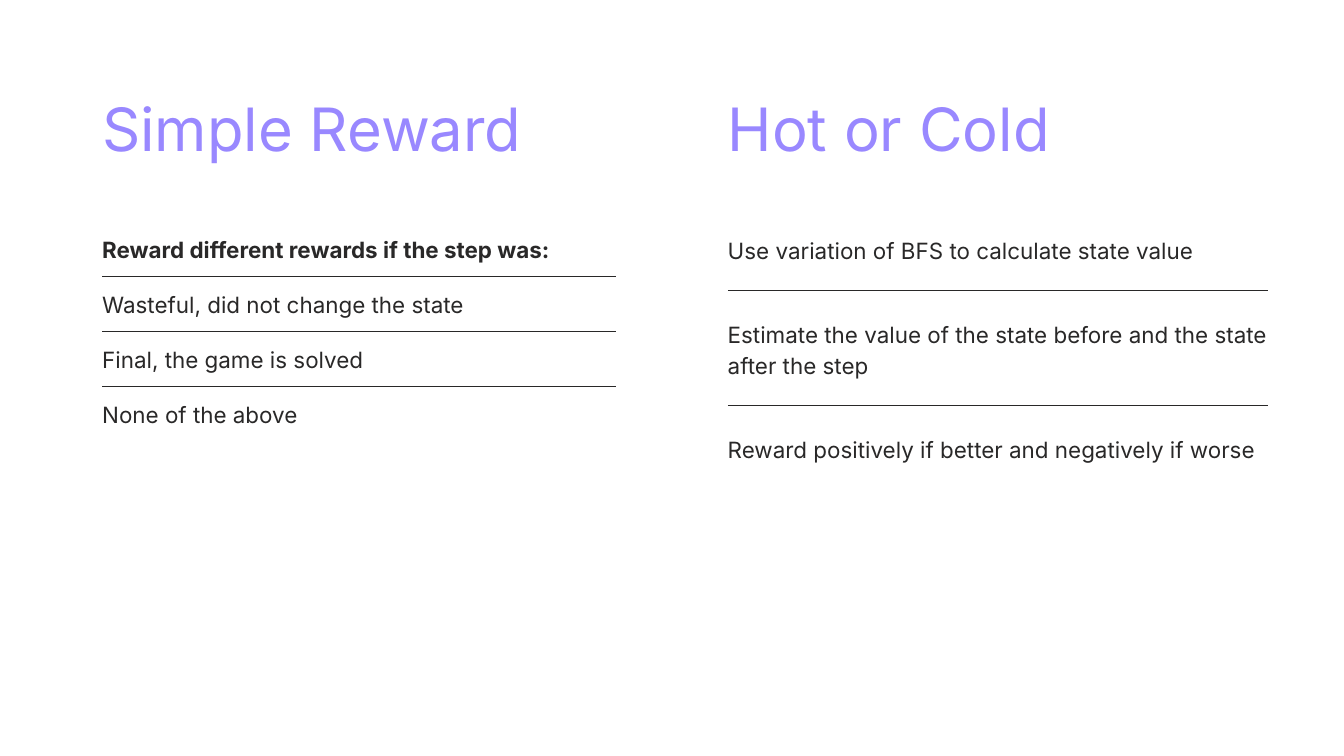
import pptx
import pptx.util
import pptx.dml.color
import pptx.enum.shapes
import pptx.enum.text
import pptx.oxml.ns
import lxml.etree

Inches, Pt = pptx.util.Inches, pptx.util.Pt

COLORS = {"heading": "9988FF", "text": "292828", "page": "FFFFFF"}
FONT = "Inter"
HEADING_TOP, HEADING_HEIGHT = 1.36, 1.07

# Each item: text, box height, bold
COLUMNS = [
    {
        "heading": "Simple Reward",
        "left": 1.52, "width": 7.65, "top": 3.45,
        "gap_above_rule": 0.22, "gap_below_rule": 0.16, "rule_weight": 0.75,
        "items": [
            ("Reward different rewards if the step was:", 0.44, True),
            ("Wasteful, did not change the state", 0.44, False),
            ("Final, the game is solved", 0.44, False),
            ("None of the above", 0.44, False),
        ],
    },
    {
        "heading": "Hot or Cold",
        "left": 10.83, "width": 8.04, "top": 3.46,
        "gap_above_rule": 0.43, "gap_below_rule": 0.39, "rule_weight": 1,
        "items": [
            ("Use variation of BFS to calculate state value", 0.43, False),
            ("Estimate the value of the state before and the state after the step", 0.89, False),
            ("Reward positively if better and negatively if worse", 0.43, False),
        ],
    },
]


def rgb(name):
    return pptx.dml.color.RGBColor.from_string(COLORS[name])


def fill_text(box, text, size, spacing, color, bold=False):
    frame = box.text_frame
    frame.word_wrap = True
    frame.auto_size = pptx.enum.text.MSO_AUTO_SIZE.NONE
    frame.vertical_anchor = pptx.enum.text.MSO_ANCHOR.TOP
    frame.margin_left = frame.margin_right = frame.margin_top = frame.margin_bottom = 0
    para = frame.paragraphs[0]
    para.alignment = pptx.enum.text.PP_ALIGN.LEFT
    para.line_spacing = Pt(spacing)
    para.space_before = Pt(0)
    span = para.add_run()
    span.text = text
    span.font.name = FONT
    span.font.size = Pt(size)
    span.font.bold = bold
    span.font.color.rgb = rgb(color)


def add_rule(page, left, top, width, weight):
    rule = page.shapes.add_connector(
        pptx.enum.shapes.MSO_CONNECTOR.STRAIGHT,
        Inches(left), Inches(top), Inches(left + width), Inches(top))
    rule.line.color.rgb = rgb("text")
    rule.line.width = Pt(weight)
    lxml.etree.SubElement(rule._element.spPr, pptx.oxml.ns.qn("a:effectLst"))


def add_column(page, column, heading_box):
    left, width = column["left"], column["width"]

    # Heading
    heading_box.left, heading_box.top = Inches(left), Inches(HEADING_TOP)
    heading_box.width, heading_box.height = Inches(width), Inches(HEADING_HEIGHT)
    fill_text(heading_box, column["heading"], 64, 76.8, "heading")

    # Items, with a rule between neighbours
    top = column["top"]
    for index, (text, height, bold) in enumerate(column["items"]):
        if index:
            top += column["gap_above_rule"]
            add_rule(page, left, top, width, column["rule_weight"])
            top += column["gap_below_rule"]
        box = page.shapes.add_textbox(Inches(left), Inches(top), Inches(width), Inches(height))
        fill_text(box, text, 24, 33.6, "text", bold)
        top += height


def main():
    deck = pptx.Presentation()
    deck.slide_width, deck.slide_height = Inches(20), Inches(11.25)
    page = deck.slides.add_slide(deck.slide_layouts[5])
    page.background.fill.solid()
    page.background.fill.fore_color.rgb = rgb("page")

    first, second = COLUMNS
    add_column(page, first, page.shapes.title)
    add_column(page, second, page.shapes.add_textbox(0, 0, 0, 0))
    deck.save("out.pptx")


if __name__ == "__main__":
    main()
